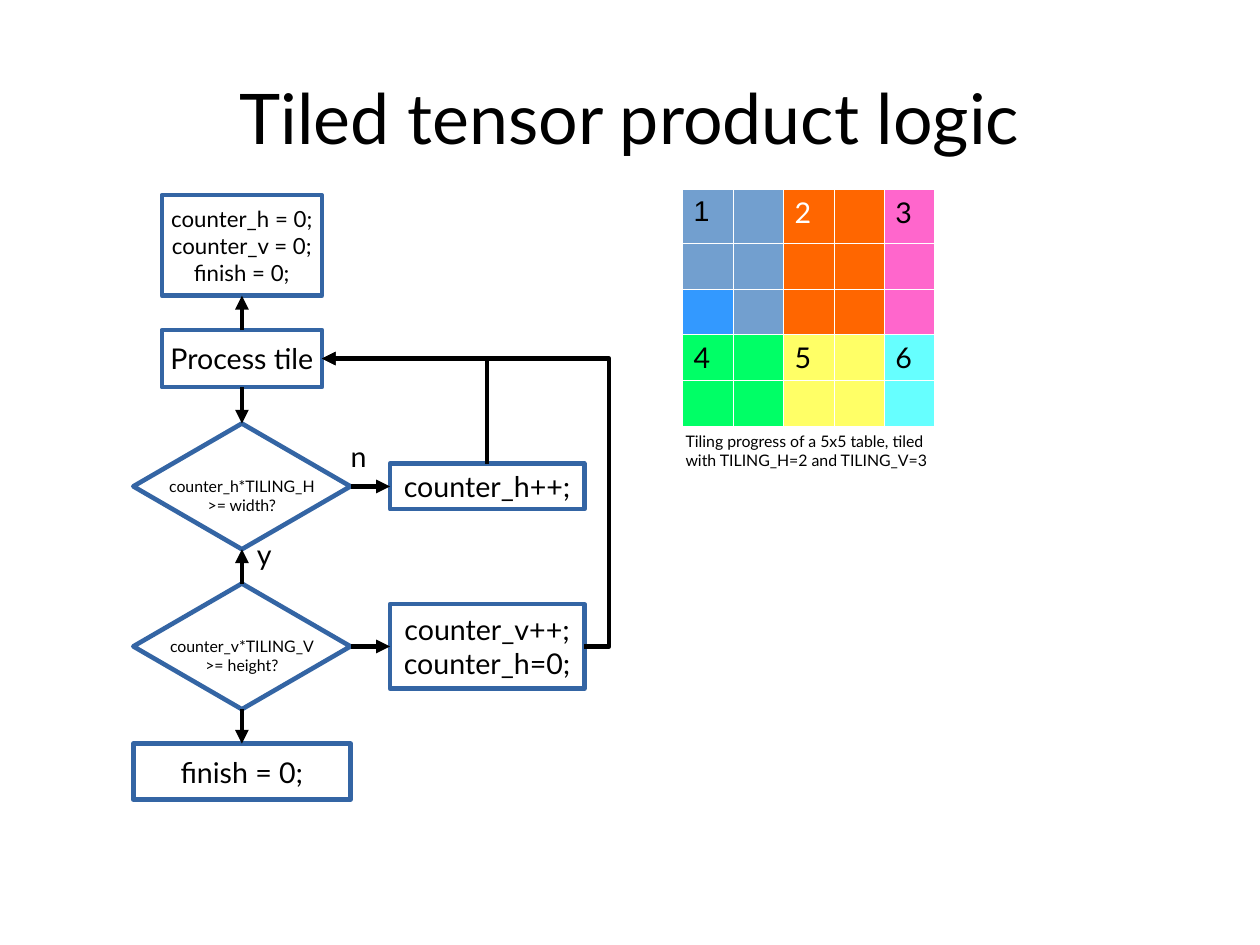
from lxml.etree import SubElement
from pptx import Presentation
from pptx.dml.color import RGBColor
from pptx.enum.shapes import MSO_CONNECTOR, MSO_SHAPE
from pptx.enum.text import MSO_ANCHOR, PP_ALIGN
from pptx.oxml.ns import qn
from pptx.util import Pt

BLACK = RGBColor(0x00, 0x00, 0x00)
WHITE = RGBColor(0xFF, 0xFF, 0xFF)
OUTLINE = RGBColor(0x34, 0x65, 0xA4)
BLUE = RGBColor(0x72, 0x9F, 0xCF)
CURRENT = RGBColor(0x33, 0x99, 0xFF)
ORANGE = RGBColor(0xFF, 0x66, 0x00)
PINK = RGBColor(0xFF, 0x66, 0xCC)
GREEN = RGBColor(0x00, 0xFF, 0x66)
YELLOW = RGBColor(0xFF, 0xFF, 0x66)
CYAN = RGBColor(0x66, 0xFF, 0xFF)

TILE_COLORS = [[BLUE, ORANGE, PINK], [GREEN, YELLOW, CYAN]]
TILING_H, TILING_V = 2, 3
TABLE_SIZE = 5

TOP, LEFT, BOTTOM, RIGHT = range(4)  # connection sites
MAIN_X, SIDE_X = 152.4, 306.9  # centres of the two flowchart columns
WIDTH_TEST_Y, HEIGHT_TEST_Y = 306.4, 407.2


class FlowSlide:
    font = "Lato"
    line_width = 2.89

    def __init__(self, prs):
        self.slide = prs.slides.add_slide(prs.slide_layouts[5])
        self.shapes = self.slide.shapes

    def format_text(self, tf, size, align=PP_ALIGN.LEFT, color=BLACK, font=None):
        for p in tf.paragraphs:
            p.alignment = align
            p.font.size = Pt(size)
            p.font.name = font or self.font
            p.font.color.rgb = color

    def title(self, text, x, y, w, h):
        sp = self.shapes.title
        sp.left, sp.top, sp.width, sp.height = Pt(x), Pt(y), Pt(w), Pt(h)
        tf = sp.text_frame
        tf.text = text
        tf.vertical_anchor = MSO_ANCHOR.MIDDLE
        tf.margin_left = tf.margin_right = tf.margin_top = tf.margin_bottom = 0
        self.format_text(tf, 44, PP_ALIGN.CENTER)

    def node(self, text, cx, cy, w, h, size=18, kind=MSO_SHAPE.RECTANGLE):
        """Add an outlined flowchart shape centred on (cx, cy)."""
        sp = self.shapes.add_shape(kind, Pt(cx - w / 2), Pt(cy - h / 2), Pt(w), Pt(h))
        sp.shadow.inherit = False
        sp.fill.solid()
        sp.fill.fore_color.rgb = WHITE
        sp.line.color.rgb = OUTLINE
        sp.line.width = Pt(self.line_width)
        tf = sp.text_frame
        tf.text = text
        tf.word_wrap = False
        tf.vertical_anchor = MSO_ANCHOR.MIDDLE
        self.format_text(tf, size, PP_ALIGN.CENTER)
        return sp

    def decision(self, text, cx, cy):
        sp = self.node(text, cx, cy, 136.8, 79.2, 10, MSO_SHAPE.DIAMOND)
        sp.text_frame.margin_top, sp.text_frame.margin_bottom = Pt(12), 0
        return sp

    def label(self, text, x, y, w, h, size=18):
        tf = self.shapes.add_textbox(Pt(x), Pt(y), Pt(w), Pt(h)).text_frame
        tf.text = text
        tf.word_wrap = True
        self.format_text(tf, size)

    def connector(self, kind, start, end, arrow):
        """Join two (shape, site) pairs; arrow is headEnd or tailEnd."""
        cxn = self.shapes.add_connector(kind, 0, 0, 0, 0)
        cxn.begin_connect(*start)
        cxn.end_connect(*end)
        cxn.line.color.rgb = BLACK
        cxn.line.width = Pt(self.line_width)
        sp_pr = cxn._element.spPr
        SubElement(sp_pr.find(qn("a:ln")), qn("a:" + arrow), type="triangle")
        SubElement(sp_pr, qn("a:effectLst"))
        return cxn

    def arrow(self, start, start_site, end, end_site):
        self.connector(MSO_CONNECTOR.STRAIGHT, (start, start_site),
                       (end, end_site), "tailEnd")

    def loop_back(self, target, source, source_site, preset, bend=None):
        """Draw an elbow whose arrowhead enters the right side of target."""
        cxn = self.connector(MSO_CONNECTOR.ELBOW, (target, RIGHT),
                             (source, source_site), "headEnd")
        geom = cxn._element.spPr.find(qn("a:prstGeom"))
        geom.set("prst", preset)
        if bend is not None:
            guides = geom.find(qn("a:avLst"))
            SubElement(guides, qn("a:gd"), name="adj1", fmla=f"val {bend}")

    def cell_borders(self, cell):
        tc_pr = cell._tc.get_or_add_tcPr()
        for side in ("lnL", "lnR", "lnT", "lnB"):
            ln = SubElement(tc_pr, qn("a:" + side), w=str(Pt(0.06)))
            fill = SubElement(ln, qn("a:solidFill"))
            SubElement(fill, qn("a:srgbClr"), val=str(WHITE))

    def tile_table(self, x, y, col_width, first_height, row_height):
        height = first_height + (TABLE_SIZE - 1) * row_height
        table = self.shapes.add_table(TABLE_SIZE, TABLE_SIZE, Pt(x), Pt(y),
                                      Pt(TABLE_SIZE * col_width), Pt(height)).table
        table.first_row = table.horz_banding = False
        for col in table.columns:
            col.width = Pt(col_width)
        for i, row in enumerate(table.rows):
            row.height = Pt(row_height if i else first_height)
            for j, cell in enumerate(row.cells):
                tile_row, tile_col = i // TILING_V, j // TILING_H
                number = tile_row * len(TILE_COLORS[0]) + tile_col + 1
                if i % TILING_V == 0 and j % TILING_H == 0:
                    cell.text = str(number)
                self.cell_borders(cell)
                cell.fill.solid()
                cell.fill.fore_color.rgb = TILE_COLORS[tile_row][tile_col]
                self.format_text(cell.text_frame, 18,
                                 color=WHITE if number == 2 else BLACK,
                                 font="Arial" if number == 1 else None)
        table.cell(2, 0).fill.fore_color.rgb = CURRENT


def main():
    prs = Presentation()
    prs.slide_width, prs.slide_height = Pt(793.7), Pt(595.28)
    s = FlowSlide(prs)
    s.title("Tiled tensor product logic", 39.6, 23.8, 714.2, 99.4)

    init = s.node("counter_h = 0;\ncounter_v = 0;\nfinish = 0;",
                  MAIN_X, 154.6, 100.8, 63.4, 14)
    process = s.node("Process tile", MAIN_X, 225.9, 100.8, 36)
    width_test = s.decision("counter_h*TILING_H\n>= width?", MAIN_X, WIDTH_TEST_Y)
    height_test = s.decision("counter_v*TILING_V\n>= height?", MAIN_X, HEIGHT_TEST_Y)
    finish = s.node("finish = 0;", MAIN_X, 486.1, 136.8, 35.3)
    next_h = s.node("counter_h++;", SIDE_X, WIDTH_TEST_Y, 122.4, 28.8)
    next_v = s.node("counter_v++;\ncounter_h=0;", SIDE_X, HEIGHT_TEST_Y, 122.4, 53.3)

    s.arrow(process, TOP, init, BOTTOM)
    s.arrow(process, BOTTOM, width_test, TOP)
    s.arrow(width_test, RIGHT, next_h, LEFT)
    s.arrow(height_test, TOP, width_test, BOTTOM)
    s.arrow(height_test, RIGHT, next_v, LEFT)
    s.arrow(height_test, BOTTOM, finish, TOP)
    s.loop_back(process, next_h, TOP, "bentConnector2")
    s.loop_back(process, next_v, RIGHT, "bentConnector3", 109400)
    s.label("n", 213.8, 272.9, 25.2, 33.8)
    s.label("y", 154.8, 334.8, 23.8, 33.8)

    s.tile_table(429.8, 119.3, 31.8, 33.8, 28.6)
    s.label("Tiling progress of a 5x5 table, tiled\nwith TILING_H=2 and TILING_V=3",
            424.8, 268.4, 184.3, 36.7, 10)
    prs.save("out.pptx")


if __name__ == "__main__":
    main()
